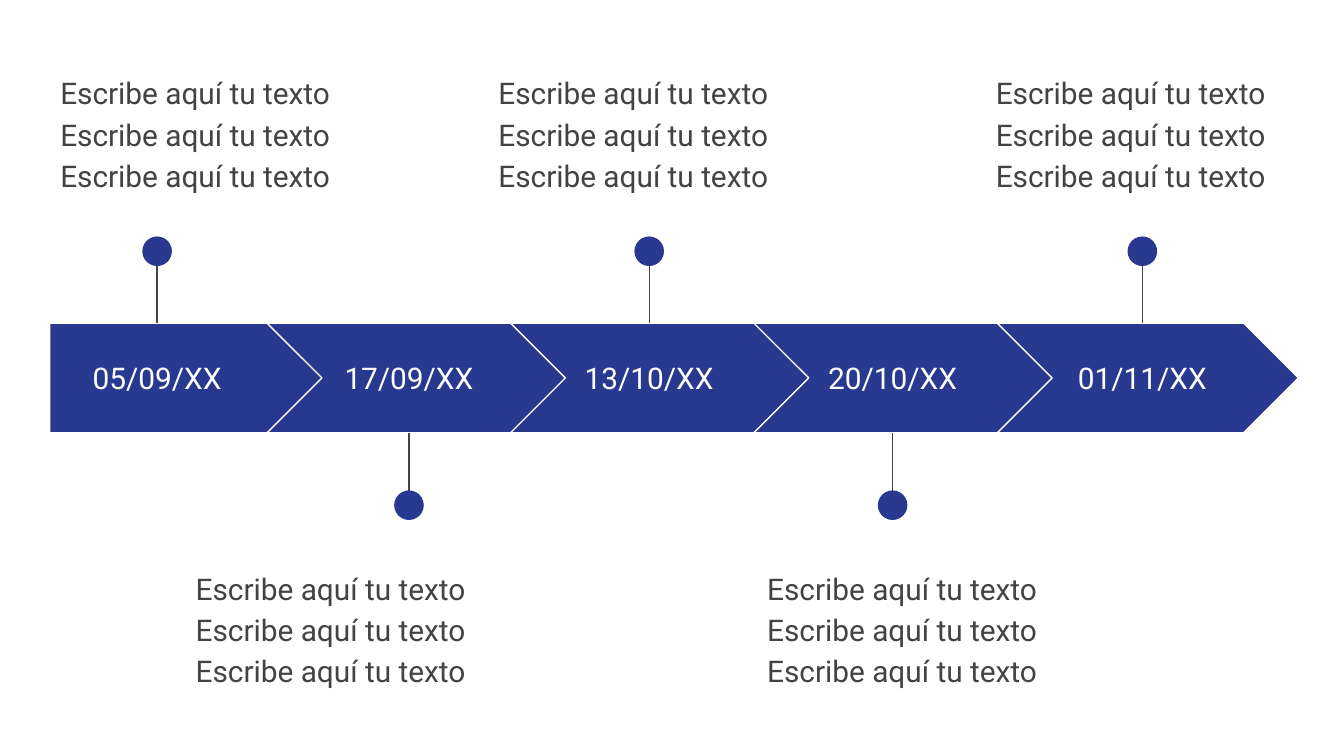
"""Build a five-date timeline slide with notes pinned above and below the band."""
from dataclasses import dataclass

from lxml import etree
from pptx import Presentation
from pptx.dml.color import RGBColor
from pptx.enum.shapes import MSO_CONNECTOR, MSO_SHAPE
from pptx.enum.text import MSO_ANCHOR, PP_ALIGN
from pptx.oxml.ns import qn
from pptx.slide import Slide
from pptx.util import Cm, Pt

STRAIGHT = MSO_CONNECTOR.STRAIGHT
PENTAGON, CHEVRON, OVAL = MSO_SHAPE.PENTAGON, MSO_SHAPE.CHEVRON, MSO_SHAPE.OVAL
TOP, MIDDLE = MSO_ANCHOR.TOP, MSO_ANCHOR.MIDDLE
LEFT, CENTER = PP_ALIGN.LEFT, PP_ALIGN.CENTER


@dataclass(frozen=True)
class Theme:
    navy: RGBColor = RGBColor(0x2A, 0x39, 0x90)
    white: RGBColor = RGBColor(0xFF, 0xFF, 0xFF)
    gray: RGBColor = RGBColor(0x43, 0x43, 0x43)
    font: str = "Roboto"
    text_size: Pt = Pt(16)
    line_width: Pt = Pt(0.75)


@dataclass(frozen=True)
class Milestone:
    date: str
    center: float
    note_left: float
    date_width: float = 3.66


@dataclass(frozen=True)
class Side:
    note_top: float
    pin_start: float
    pin_end: float
    dot_top: float


THEME = Theme()
NOTE = " ".join(["Escribe aquí tu texto"] * 3)
BAND_TOP, BAND_HEIGHT = 6.11, 2.07
FIRST_LEFT, FIRST_WIDTH = 0.94, 5.21
CHEVRON_LEFT, CHEVRON_WIDTH, CHEVRON_STEP = 5.05, 5.69, 4.6
DATE_HEIGHT = 1.3
NOTE_WIDTH, NOTE_HEIGHT = 6.22, 2.51
DOT = 0.56
ABOVE = Side(note_top=1.07, pin_start=4.57, pin_end=BAND_TOP, dot_top=4.47)
BELOW = Side(note_top=10.44, pin_start=9.7, pin_end=BAND_TOP + BAND_HEIGHT, dot_top=9.27)
MILESTONES = [
    Milestone("05/09/XX", 2.97, 0.89, date_width=4.04),
    Milestone("17/09/XX", 7.73, 3.45),
    Milestone("13/10/XX", 12.27, 9.17),
    Milestone("20/10/XX", 16.87, 14.25),
    Milestone("01/11/XX", 21.59, 18.57),
]


def add_text(slide: Slide, text: str, left: float, top: float, width: float, height: float, *,
             color: RGBColor, align: PP_ALIGN = LEFT, anchor: MSO_ANCHOR = TOP,
             spacing: float = 1.0) -> None:
    frame = slide.shapes.add_textbox(Cm(left), Cm(top), Cm(width), Cm(height)).text_frame
    frame.word_wrap = True
    frame.vertical_anchor = anchor
    frame.margin_left = frame.margin_right = Cm(0.25)
    frame.margin_top = frame.margin_bottom = Cm(0.25)
    paragraph = frame.paragraphs[0]
    paragraph.alignment = align
    paragraph.line_spacing = spacing
    run = paragraph.add_run()
    run.text = text
    run.font.name = THEME.font
    run.font.size = THEME.text_size
    run.font.color.rgb = color


def add_filled(slide: Slide, kind: MSO_SHAPE, left: float, top: float, width: float,
               height: float, outline: RGBColor | None = None) -> None:
    shape = slide.shapes.add_shape(kind, Cm(left), Cm(top), Cm(width), Cm(height))
    shape.shadow.inherit = False
    shape.fill.solid()
    shape.fill.fore_color.rgb = THEME.navy
    if outline is None:
        shape.line.fill.background()
    else:
        shape.line.color.rgb = outline
        shape.line.width = THEME.line_width


def add_segment(slide: Slide, index: int) -> None:
    if index == 0:
        kind, left, width = PENTAGON, FIRST_LEFT, FIRST_WIDTH
    else:
        kind, width = CHEVRON, CHEVRON_WIDTH
        left = CHEVRON_LEFT + (index - 1) * CHEVRON_STEP
    add_filled(slide, kind, left, BAND_TOP, width, BAND_HEIGHT, THEME.white)


def add_pin(slide: Slide, center: float, side: Side) -> None:
    stem = slide.shapes.add_connector(
        STRAIGHT, Cm(center), Cm(side.pin_start), Cm(center), Cm(side.pin_end))
    stem.line.color.rgb = THEME.gray
    stem.line.width = THEME.line_width
    etree.SubElement(stem._element.spPr, qn("a:effectLst"))
    add_filled(slide, OVAL, center - DOT / 2, side.dot_top, DOT, DOT)


def add_milestone(slide: Slide, index: int, milestone: Milestone) -> None:
    side = BELOW if index % 2 else ABOVE
    add_segment(slide, index)
    add_text(slide, milestone.date, milestone.center - milestone.date_width / 2,
             BAND_TOP + (BAND_HEIGHT - DATE_HEIGHT) / 2, milestone.date_width, DATE_HEIGHT,
             color=THEME.white, align=CENTER, anchor=MIDDLE)
    add_pin(slide, milestone.center, side)
    add_text(slide, NOTE, milestone.note_left, side.note_top, NOTE_WIDTH, NOTE_HEIGHT,
             color=THEME.gray, spacing=1.15)


def main() -> None:
    presentation = Presentation()
    presentation.slide_width, presentation.slide_height = Cm(25.4), Cm(14.29)
    slide = presentation.slides.add_slide(presentation.slide_layouts[6])
    for index, milestone in enumerate(MILESTONES):
        add_milestone(slide, index, milestone)
    presentation.save("out.pptx")


if __name__ == "__main__":
    main()
